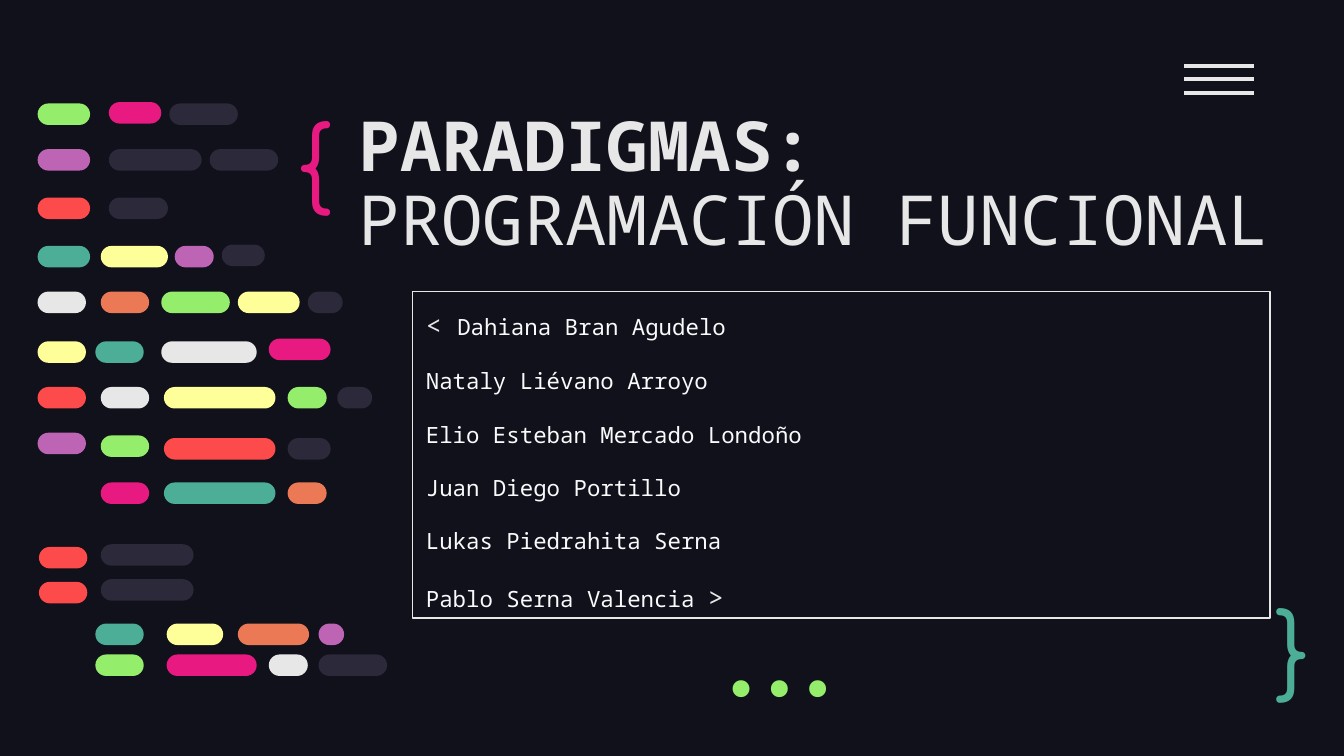
from lxml import etree
from pptx import Presentation
from pptx.dml.color import RGBColor
from pptx.enum.shapes import MSO_CONNECTOR, MSO_SHAPE
from pptx.enum.text import MSO_ANCHOR, PP_ALIGN
from pptx.oxml.ns import qn
from pptx.util import Inches, Pt

ROUNDED = MSO_SHAPE.ROUNDED_RECTANGLE
STRAIGHT = MSO_CONNECTOR.STRAIGHT
TOP, MIDDLE, BOTTOM = MSO_ANCHOR.TOP, MSO_ANCHOR.MIDDLE, MSO_ANCHOR.BOTTOM
LEFT, RIGHT = PP_ALIGN.LEFT, PP_ALIGN.RIGHT

MONO = "Noto Sans Mono"
BACKGROUND = "10111A"
WHITE = "E7E7E7"
NAME_WHITE = "F8FAFB"
GREEN = "94EE6B"
PINK = "E81A81"
PURPLE = "BD64B5"
RED = "FD4A4A"
TEAL = "4CAE97"
YELLOW = "FFFF99"
ORANGE = "EC7955"
DARK = "2C293A"

PILL_HEIGHT = 0.16
CODE_LINES = [
    (0.77, [(0.28, 0.39, GREEN), (1.26, 0.51, DARK)]),
    (0.76, [(0.81, 0.39, PINK)]),
    (1.11, [(0.28, 0.39, PURPLE), (0.81, 0.69, DARK), (1.56, 0.51, DARK)]),
    (1.47, [(0.28, 0.39, RED), (0.81, 0.44, DARK)]),
    (1.83, [(0.28, 0.39, TEAL), (0.75, 0.5, YELLOW), (1.3, 0.29, PURPLE)]),
    (1.82, [(1.65, 0.32, DARK)]),
    (2.17, [(0.28, 0.36, WHITE), (0.75, 0.36, ORANGE), (1.2, 0.51, GREEN),
            (1.77, 0.46, YELLOW), (2.29, 0.26, DARK)]),
    (2.54, [(0.28, 0.36, YELLOW), (0.71, 0.36, TEAL), (1.2, 0.71, WHITE)]),
    (2.52, [(2, 0.46, PINK)]),
    (2.88, [(0.28, 0.36, RED), (0.75, 0.36, WHITE), (1.22, 0.83, YELLOW),
            (2.14, 0.29, GREEN), (2.51, 0.26, DARK)]),
    (3.22, [(0.28, 0.36, PURPLE)]),
    (3.24, [(0.75, 0.36, GREEN)]),
    (3.26, [(1.22, 0.83, RED), (2.14, 0.32, DARK)]),
    (3.59, [(0.75, 0.36, PINK), (1.22, 0.83, TEAL), (2.14, 0.29, ORANGE)]),
    (4.05, [(0.75, 0.69, DARK)]),
    (4.07, [(0.29, 0.36, RED)]),
    (4.31, [(0.75, 0.69, DARK)]),
    (4.33, [(0.29, 0.36, RED)]),
    (4.64, [(0.71, 0.36, TEAL), (1.24, 0.42, YELLOW), (1.77, 0.53, ORANGE),
            (2.37, 0.19, PURPLE)]),
    (4.87, [(0.71, 0.36, GREEN), (1.24, 0.67, PINK), (2, 0.29, WHITE),
            (2.37, 0.51, DARK)]),
]

AUTHORS = [
    "Dahiana Bran Agudelo",
    "Nataly Liévano Arroyo",
    "Elio Esteban Mercado Londoño",
    "Juan Diego Portillo",
    "Lukas Piedrahita Serna",
    "Pablo Serna Valencia ",
]


def color(value):
    return RGBColor.from_string(value)


def add_box(slide, left, top, width, height, anchor=TOP):
    box = slide.shapes.add_textbox(Inches(left), Inches(top), Inches(width), Inches(height))
    frame = box.text_frame
    frame.word_wrap = True
    frame.vertical_anchor = anchor
    frame.margin_left = frame.margin_right = Inches(0.1)
    frame.margin_top = frame.margin_bottom = Inches(0.1)
    return box


def add_run(paragraph, text, size, hex_color, font=MONO, bold=False):
    run = paragraph.add_run()
    run.text = text
    run.font.name = font
    run.font.size = Pt(size)
    run.font.bold = bold
    run.font.color.rgb = color(hex_color)


def add_title(slide):
    title = add_box(slide, 2.57, 0.56, 7.08, 1.48, BOTTOM).text_frame.paragraphs[0]
    title.line_spacing = 0.9
    add_run(title, "PARADIGMAS:", 37, WHITE, bold=True)
    add_run(title, " PROGRAMACIÓN FUNCIONAL", 37, WHITE)


def add_authors(slide):
    panel = add_box(slide, 3.07, 2.17, 6.38, 2.43)
    panel.line.color.rgb = color(WHITE)
    panel.line.width = Pt(0.75)
    frame = panel.text_frame
    for index, author in enumerate(AUTHORS):
        line = frame.add_paragraph() if index else frame.paragraphs[0]
        line.line_spacing = 1.15
        if index:
            line.space_before = Pt(12)
        else:
            add_run(line, "< ", 14, WHITE)
        add_run(line, author, 12, NAME_WHITE)
    add_run(line, ">", 14, WHITE)
    line.space_after = Pt(12)


def add_symbol(slide, text, place, font, hex_color, anchor=TOP, align=LEFT):
    symbol = add_box(slide, *place, anchor).text_frame.paragraphs[0]
    symbol.alignment = align
    add_run(symbol, text, 50, hex_color, font)


def add_menu_bar(slide, top):
    bar = slide.shapes.add_connector(STRAIGHT, Inches(8.81), Inches(top), Inches(9.33), Inches(top))
    bar.line.color.rgb = color(WHITE)
    bar.line.width = Pt(2.25)
    etree.SubElement(bar._element.spPr, qn("a:effectLst"))


def add_pill(slide, left, top, width, hex_color):
    pill = slide.shapes.add_shape(
        ROUNDED, Inches(left), Inches(top), Inches(width), Inches(PILL_HEIGHT))
    pill.adjustments[0] = 0.5
    pill.shadow.inherit = False
    pill.fill.solid()
    pill.fill.fore_color.rgb = color(hex_color)
    pill.line.fill.background()


def main():
    presentation = Presentation()
    presentation.slide_width = Inches(10)
    presentation.slide_height = Inches(10) * 9 // 16
    slide = presentation.slides.add_slide(presentation.slide_layouts[6])
    slide.background.fill.solid()
    slide.background.fill.fore_color.rgb = color(BACKGROUND)

    add_title(slide)
    add_authors(slide)
    add_symbol(slide, "{", (2.11, 0.65, 0.77, 0.95), "Comfortaa", PINK)
    add_symbol(slide, "}", (9.39, 4.38, 0.57, 0.83), "Comfortaa", TEAL, MIDDLE)
    add_symbol(slide, "...", (4.96, 4.82, 1.58, 0.6), "Fira Code", GREEN, BOTTOM, RIGHT)
    for index in range(3):
        add_menu_bar(slide, 0.49 + 0.1 * index)
    for top, pills in CODE_LINES:
        for left, width, hex_color in pills:
            add_pill(slide, left, top, width, hex_color)

    presentation.save("out.pptx")


if __name__ == "__main__":
    main()
